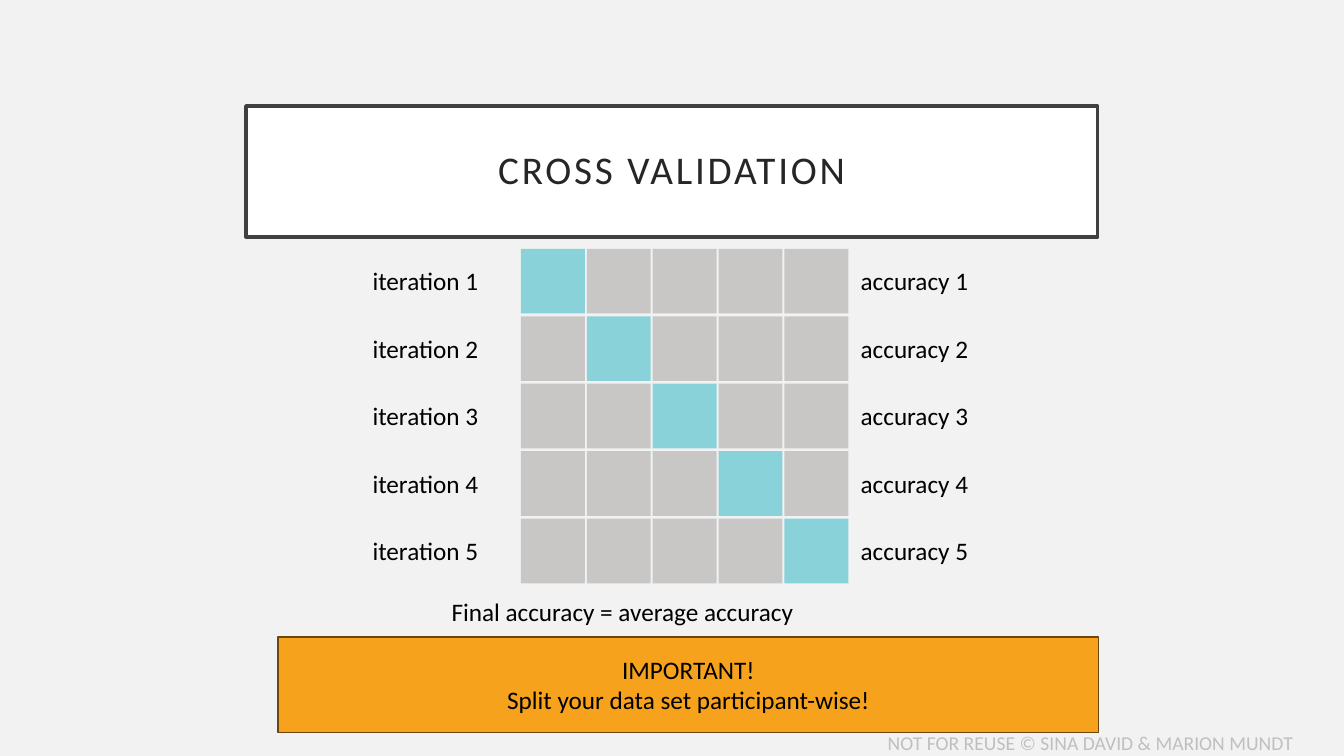
import pptx
import pptx.util
import pptx.dml.color
import pptx.enum.shapes
import pptx.enum.text

Cm = pptx.util.Cm
Pt = pptx.util.Pt
RGBColor = pptx.dml.color.RGBColor
ALIGN = pptx.enum.text.PP_ALIGN
ANCHOR = pptx.enum.text.MSO_ANCHOR
RECT = pptx.enum.shapes.MSO_SHAPE.RECTANGLE

# Content
TITLE = "CROSS VALIDATION"
FOLDS = 5
RESULT = "Final accuracy = average accuracy"
ADVICE = "IMPORTANT!\nSplit your data set participant-wise!"
NOTICE = "NOT FOR REUSE © SINA DAVID & MARION MUNDT"

# Colours
PAPER = RGBColor(0xF2, 0xF2, 0xF2)
WHITE = RGBColor(0xFF, 0xFF, 0xFF)
BLACK = RGBColor(0x00, 0x00, 0x00)
INK = RGBColor(0x26, 0x26, 0x26)
FRAME = RGBColor(0x40, 0x40, 0x40)
SILVER = RGBColor(0xBF, 0xBF, 0xBF)
TEST = RGBColor(0x89, 0xD2, 0xDA)
TRAIN = RGBColor(0xC8, 0xC7, 0xC6)
AMBER = RGBColor(0xF6, 0xA2, 0x1D)
BROWN = RGBColor(0x6C, 0x47, 0x0D)

# Grid measures in cm
GRID_X, GRID_Y = 13.13, 6.27
STEP_X, STEP_Y = 1.66, 1.7
CELL_W, CELL_H = 1.61, 1.63
LABEL_H = 1.02
LABEL_DY = 0.3


def write(shape, text, size=18, color=BLACK, align=ALIGN.LEFT,
          anchor=ANCHOR.TOP, wrap=True, track=None):
    """Put formatted text into a shape."""
    frame = shape.text_frame
    frame.word_wrap = wrap
    frame.vertical_anchor = anchor
    para = frame.paragraphs[0]
    para.text = text
    para.alignment = align
    for run in para.runs:
        run.font.name = "Calibri"
        run.font.size = Pt(size)
        run.font.color.rgb = color
        if track:
            run.font._element.set("spc", str(track * 100))
    return frame


def place(x, y, w, h):
    return Cm(x), Cm(y), Cm(w), Cm(h)


def paint(shape, fill, line=None, width=1):
    shape.fill.solid()
    shape.fill.fore_color.rgb = fill
    if line is None:
        shape.line.fill.background()
    else:
        shape.line.color.rgb = line
        shape.line.width = Pt(width)


def add_box(shapes, area, fill, line=None):
    box = shapes.add_shape(RECT, *place(*area))
    box.shadow.inherit = False
    paint(box, fill, line)
    return box


def add_label(shapes, text, area, **style):
    return write(shapes.add_textbox(*place(*area)), text, **style)


def main():
    deck = pptx.Presentation()
    deck.slide_width, deck.slide_height = Cm(33.87), Cm(19.05)
    slide = deck.slides.add_slide(deck.slide_layouts[5])
    slide.background.fill.solid()
    slide.background.fill.fore_color.rgb = PAPER

    # Copyright line
    add_label(slide.shapes, NOTICE, (22.12, 18.29, 11.96, 0.86),
              size=14, color=SILVER, wrap=False)

    # Title
    title = slide.shapes.title
    title.left, title.top, title.width, title.height = place(6.2, 2.67, 21.46, 3.3)
    paint(title, WHITE, FRAME, 2.5)
    frame = write(title, TITLE, size=28, color=INK, align=ALIGN.CENTER,
                  anchor=ANCHOR.MIDDLE, track=2)
    frame.paragraphs[0].line_spacing = 0.9
    frame.margin_left = frame.margin_right = Cm(0.5)
    frame.margin_top = frame.margin_bottom = Cm(0.5)

    # Folds: the test cell moves along the diagonal
    group = slide.shapes.add_group_shape().shapes
    for row in range(FOLDS):
        y = GRID_Y + row * STEP_Y
        add_label(group, f"iteration {row + 1}",
                  (9.14, y + LABEL_DY, 3.23, LABEL_H), wrap=False)
        for col in range(FOLDS):
            add_box(group, (GRID_X + col * STEP_X, y, CELL_W, CELL_H),
                    TEST if col == row else TRAIN)
        add_label(group, f"accuracy {row + 1}",
                  (21.44, y + LABEL_DY, 3.25, LABEL_H), wrap=False)
    add_label(group, RESULT, (11.13, 14.91, 12.37, LABEL_H))

    # Advice bar
    bar = add_box(slide.shapes, (7.01, 16.05, 20.68, 2.41), AMBER, BROWN)
    write(bar, ADVICE, align=ALIGN.CENTER, anchor=ANCHOR.MIDDLE)

    deck.save("out.pptx")


if __name__ == "__main__":
    main()
